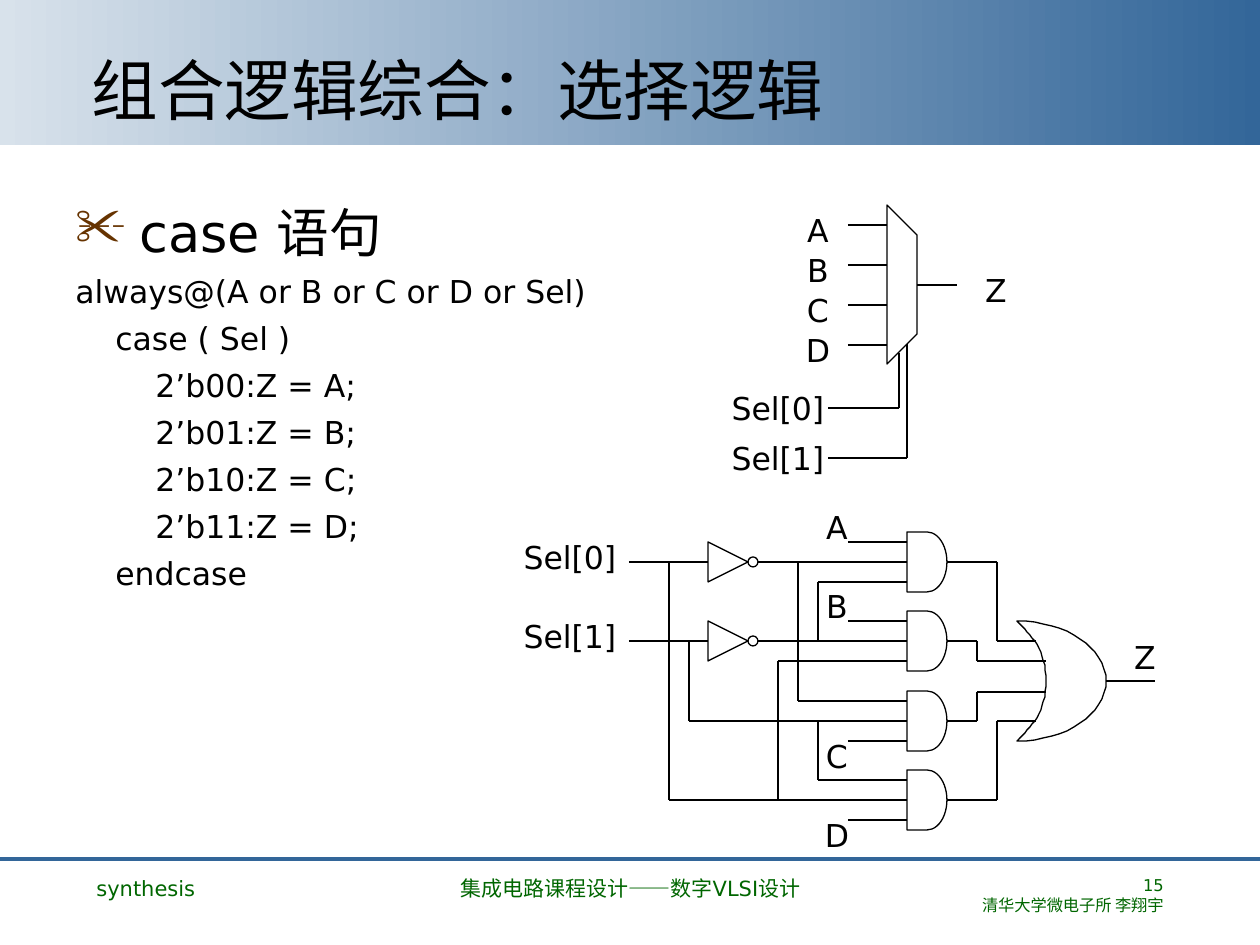
from lxml import etree
from pptx import Presentation
from pptx.dml.color import RGBColor
from pptx.enum.shapes import MSO_CONNECTOR, MSO_SHAPE
from pptx.enum.text import MSO_ANCHOR, MSO_AUTO_SIZE, PP_ALIGN
from pptx.oxml.ns import qn
from pptx.util import Pt

SCALE = 914400 / 126  # EMU in one px
FONT = "DejaVu Sans"
BLACK = RGBColor(0, 0, 0)
GREEN = RGBColor(0, 0x66, 0)
BROWN = RGBColor(0x66, 0x33, 0)
BLUE = RGBColor(0x33, 0x66, 0x99)
PALE = RGBColor(0xD8, 0xE2, 0xEB)
LEFT, MID, RIGHT = PP_ALIGN.LEFT, PP_ALIGN.CENTER, PP_ALIGN.RIGHT
TOP, CENTER, BOTTOM = MSO_ANCHOR.TOP, MSO_ANCHOR.MIDDLE, MSO_ANCHOR.BOTTOM
STRAIGHT = MSO_CONNECTOR.STRAIGHT
RECT, OVAL = MSO_SHAPE.RECTANGLE, MSO_SHAPE.OVAL
AND, TRIANGLE = MSO_SHAPE.FLOWCHART_DELAY, MSO_SHAPE.ISOSCELES_TRIANGLE

CODE = [
    "always@(A or B or C or D or Sel)",
    "    case ( Sel )",
    "        2’b00:Z = A;",
    "        2’b01:Z = B;",
    "        2’b10:Z = C;",
    "        2’b11:Z = D;",
    "    endcase",
]


def px(*nums):
    return [round(n * SCALE) for n in nums]


def add_run(para, text, size, color=BLACK):
    run = para.add_run()
    run.text = text
    run.font.name, run.font.size = FONT, Pt(size)
    run.font.color.rgb = color


def text_box(slide, box, lines, size, color=BLACK, align=LEFT, wrap=True):
    frame = slide.shapes.add_textbox(*px(*box)).text_frame
    frame.word_wrap = wrap
    for i, line in enumerate(lines):
        para = frame.add_paragraph() if i else frame.paragraphs[0]
        para.alignment = align
        add_run(para, line, size, color)
    return frame


def label(slide, x, y, text):
    """Text centred on a point."""
    box = (x - 50, y - 15, 100, 30)
    frame = text_box(slide, box, [text], 18, align=MID, wrap=False)
    frame.margin_left = frame.margin_right = 0
    frame.margin_top = frame.margin_bottom = 0
    frame.vertical_anchor = CENTER


def wire(slide, x, y, points, color=BLACK, width=0.75):
    """Straight segments through points given from (x, y)."""
    for (ax, ay), (bx, by) in zip(points, points[1:]):
        ends = px(x + ax, y + ay, x + bx, y + by)
        line = slide.shapes.add_connector(STRAIGHT, *ends)
        line.line.color.rgb, line.line.width = color, Pt(width)
        props = line.element.find(qn("p:spPr"))
        etree.SubElement(props, qn("a:effectLst"))


def hollow(shape):
    shape.shadow.inherit = False
    shape.fill.background()
    shape.line.color.rgb, shape.line.width = BLACK, Pt(0.75)
    return shape


def part(slide, kind, *box):
    return hollow(slide.shapes.add_shape(kind, *px(*box)))


def outline(slide, x, y, points):
    path = [(x + a, y + b) for a, b in points]
    pen = slide.shapes.build_freeform(*path[0], scale=SCALE)
    pen.add_line_segments(path[1:], close=True)
    hollow(pen.convert_to_shape())


def curve(a, b, c, d, steps=16):
    """Points on a cubic curve, its start left out."""
    return [
        tuple((1 - t) ** 3 * p + 3 * (1 - t) ** 2 * t * q
              + 3 * (1 - t) * t * t * r + t ** 3 * s
              for p, q, r, s in zip(a, b, c, d))
        for t in (i / steps for i in range(1, steps + 1))
    ]


def header(slide, x, y, w, h):
    band = slide.shapes.add_shape(RECT, *px(x, y, w, h))
    band.shadow.inherit = False
    band.line.fill.background()
    band.fill.gradient()
    band.fill.gradient_angle = 0
    for stop, color, at in zip(band.fill.gradient_stops, (PALE, BLUE), (0, 1)):
        stop.color.rgb, stop.position = color, at
    # The title goes in front of the band
    title = slide.shapes.title
    band.element.addnext(title.element)
    title.left, title.top, title.width, title.height = px(x + 79, y + 42, 1102, 93)
    frame = title.text_frame
    frame.auto_size = MSO_AUTO_SIZE.NONE
    frame.vertical_anchor = BOTTOM
    frame.paragraphs[0].alignment = LEFT
    add_run(frame.paragraphs[0], "组合逻辑综合：选择逻辑", 38)


def code_block(slide, *box):
    frame = text_box(slide, box, ["case 语句"], 30)
    frame.vertical_anchor = TOP
    for line in CODE:
        para = frame.add_paragraph()
        para.space_before = Pt(5.2)
        add_run(para, line, 18)
    # Scissors bullet on the heading
    props = frame.paragraphs[0]._p.get_or_add_pPr()
    indent = px(64)[0]
    props.set("marL", str(indent))
    props.set("indent", str(-indent))
    tint = etree.SubElement(props, qn("a:buClr"))
    etree.SubElement(tint, qn("a:srgbClr")).set("val", str(BROWN))
    etree.SubElement(props, qn("a:buChar")).set("char", "✂")


def mux(slide, x, y):
    outline(slide, x, y, [(157, 5), (187, 35), (187, 134), (157, 164)])
    for i, name in enumerate("ABCD"):
        label(slide, x + 88, y + 30 + 40 * i, name)
        wire(slide, x, y, [(118, 25 + 40 * i), (157, 25 + 40 * i)])
    wire(slide, x, y, [(187, 85), (227, 85)])
    label(slide, x + 266, y + 90, "Z")
    # Select lines
    for i, (col, top) in enumerate([(169, 153), (177, 144)]):
        row = 208 + 50 * i
        wire(slide, x, y, [(col, top), (col, row), (98, row)])
        label(slide, x + 48, y + row, f"Sel[{i}]")


def gates(slide, x, y):
    rows = [52 + 159 * i // 2 for i in range(4)]
    r0, r1, r2, r3 = rows
    pin, out = 387, 427  # left and right of the AND gates
    # Inverters
    for i, row in enumerate((r0, r1)):
        label(slide, x + 50, y + row - 5, f"Sel[{i}]")
        wire(slide, x, y, [(109, row), (188, row)])
        part(slide, TRIANGLE, x + 188, y + row - 20, 40, 40).rotation = 90
        part(slide, OVAL, x + 228, y + row - 5, 10, 10)
        wire(slide, x, y, [(238, row), (pin, row)])
    # AND gates with their data inputs
    for name, row, side in zip("ABCD", rows, (-1, -1, 1, 1)):
        part(slide, AND, x + pin, y + row - 30, 40, 60)
        wire(slide, x, y, [(328, row + 20 * side), (pin, row + 20 * side)])
        label(slide, x + 317, y + row + 35 * side, name)
    # Select lines into the AND gates
    for col, start, end in [
        (278, r0, r2 - 20), (298, r1, r0 + 20), (149, r0, r3),
        (258, r3, r1 + 20), (169, r1, r2), (298, r2, r3 - 20),
    ]:
        wire(slide, x, y, [(col, start), (col, end), (pin, end)])
    # AND gates into the OR gate
    for row, col, turn, end in [
        (r0, 477, r1, 516), (r1, 457, r1 + 20, 526),
        (r2, 457, r2 - 29, 526), (r3, 477, r2, 516),
    ]:
        wire(slide, x, y, [(out, row), (col, row), (col, turn), (end, turn)])
    # OR gate
    low, back, high, tip = (497, 231), (526, 171), (497, 111), (586, 171)
    outline(slide, x, y, [low]
            + curve(low, (511, 217), (526, 203), back)
            + curve(back, (526, 139), (511, 125), high)
            + curve(high, (546, 111), (586, 138), tip)
            + curve(tip, (586, 204), (546, 231), low)[:-1])
    wire(slide, x, y, [tip, (635, 171)])
    label(slide, x + 625, y + 147, "Z")


def footer(slide, x, y, w):
    wire(slide, x, y, [(0, 0), (w, 0)], BLUE, 2.25)
    top = y + 10
    text_box(slide, (x + 84, top, 273, 57), ["synthesis"], 12, GREEN)
    text_box(slide, (x + 431, top, 399, 57),
             ["集成电路课程设计——数字VLSI设计"], 12, GREEN, MID)
    text_box(slide, (x + 903, top, 273, 57),
             ["15", "清华大学微电子所 李翔宇"], 9.3, GREEN, RIGHT)


def main():
    deck = Presentation()
    deck.slide_width, deck.slide_height = px(1260, 945)
    slide = deck.slides.add_slide(deck.slide_layouts[5])
    header(slide, 0, 0, 1260, 145)
    code_block(slide, 63, 194, 546, 651)
    mux(slide, 730, 200)
    gates(slide, 520, 510)
    footer(slide, 0, 859, 1260)
    deck.save("out.pptx")


if __name__ == "__main__":
    main()
